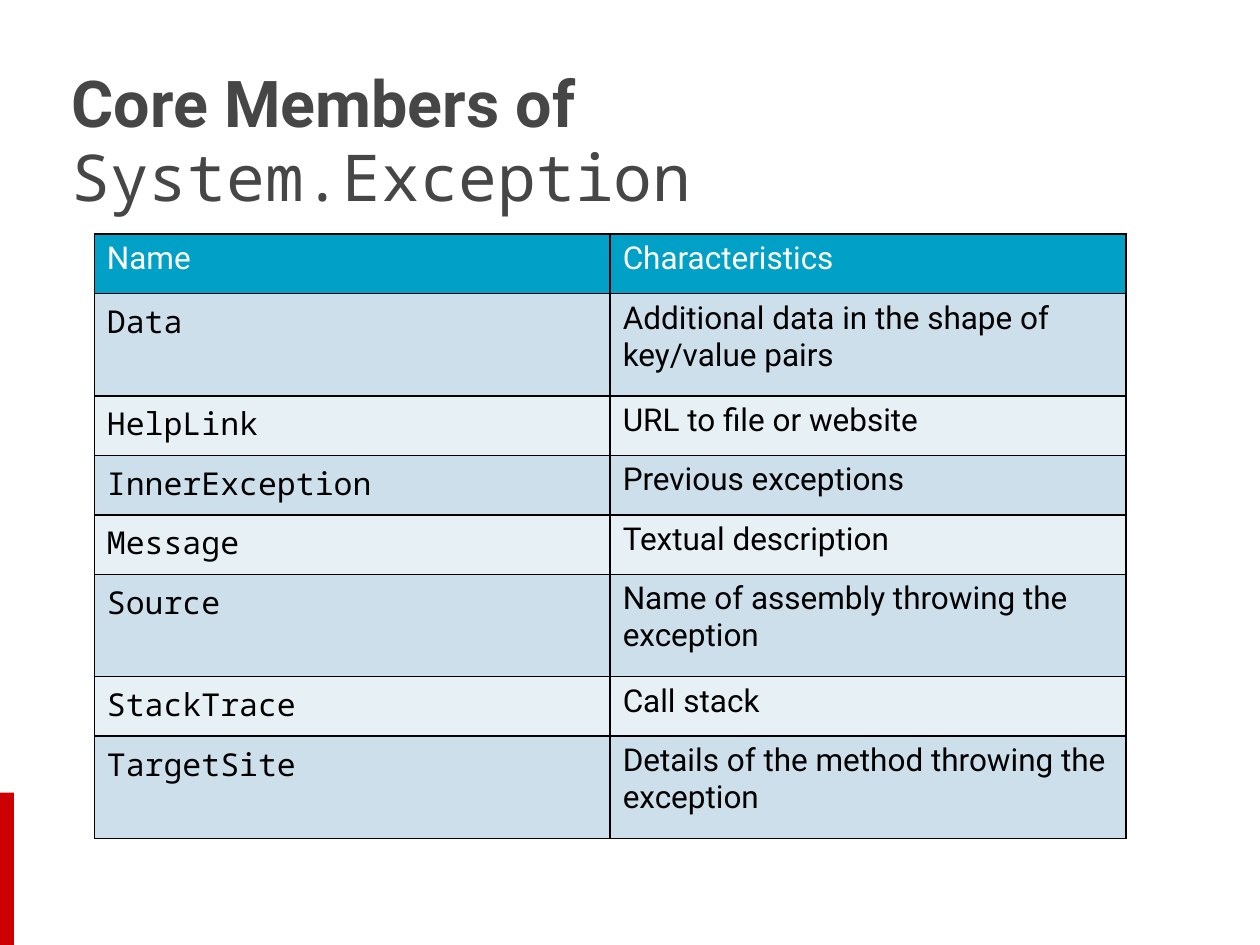
from lxml.etree import SubElement
from pptx import Presentation
from pptx.dml.color import RGBColor
from pptx.enum.shapes import MSO_SHAPE
from pptx.enum.text import MSO_ANCHOR
from pptx.oxml.ns import qn
from pptx.util import Cm, Pt

RED = RGBColor(0xCC, 0x00, 0x00)
GRAY = RGBColor(0x46, 0x46, 0x46)
WHITE = RGBColor(0xFF, 0xFF, 0xFF)
BLACK = RGBColor(0x00, 0x00, 0x00)
HEADER_BLUE = RGBColor(0x01, 0xA0, 0xC7)
BAND_DARK = RGBColor(0xCC, 0xDF, 0xEB)
BAND_LIGHT = RGBColor(0xE7, 0xF0, 0xF5)

HEADER = ("Name", "Characteristics")
MEMBERS = [
    ("Data", "Additional data in the shape of key/value pairs"),
    ("HelpLink", "URL to file or website"),
    ("InnerException", "Previous exceptions"),
    ("Message", "Textual description"),
    ("Source", "Name of assembly throwing the exception"),
    ("StackTrace", "Call stack"),
    ("TargetSite", "Details of the method throwing the exception"),
]


class SlideBuilder:
    text_font = "Roboto"
    code_font = "Noto Sans Mono"
    title_size = Pt(36.9)
    table_size = Pt(18)
    column_width = Cm(10.4)
    one_line_height = Cm(1.2)
    two_line_height = Cm(2.06)
    one_line_limit = 30

    def __init__(self, slide):
        self.slide = slide

    def format_run(self, run, font_name, size, color, bold=False):
        run.font.name = font_name
        run.font.size = size
        run.font.color.rgb = color
        run.font.bold = bold

    def add_accent_bar(self, left, top, width, height):
        shape = self.slide.shapes.add_shape(MSO_SHAPE.RECTANGLE, left, top, width, height)
        shape.shadow.inherit = False
        shape.fill.solid()
        shape.fill.fore_color.rgb = RED
        shape.line.fill.background()

    def add_title(self, heading, code, left, top, width, height):
        """Add a bold heading with a line of code below it."""
        text_frame = self.slide.shapes.add_textbox(left, top, width, height).text_frame
        text_frame.word_wrap = True
        text_frame.vertical_anchor = MSO_ANCHOR.MIDDLE
        text_frame.margin_top = Cm(0.4)
        paragraph = text_frame.paragraphs[0]
        paragraph.text = f"{heading}\v{code}"
        paragraph.line_spacing = 0.95
        heading_run, code_run = paragraph.runs
        self.format_run(heading_run, self.text_font, self.title_size, GRAY, bold=True)
        self.format_run(code_run, self.code_font, self.title_size, GRAY)

    def add_member_table(self, header, members, left, top):
        rows = [header, *members]
        heights = [
            self.two_line_height if len(description) > self.one_line_limit else self.one_line_height
            for _, description in rows
        ]
        table = self.slide.shapes.add_table(
            len(rows), len(header), left, top, self.column_width * len(header), sum(heights)
        ).table
        for column in table.columns:
            column.width = self.column_width
        for row_index, (row, height) in enumerate(zip(rows, heights)):
            table.rows[row_index].height = height
            is_header = row_index == 0
            band = BAND_DARK if row_index % 2 else BAND_LIGHT
            for column_index, text in enumerate(row):
                is_code = column_index == 0 and not is_header
                self.fill_cell(
                    table.cell(row_index, column_index),
                    text,
                    self.code_font if is_code else self.text_font,
                    WHITE if is_header else BLACK,
                    HEADER_BLUE if is_header else band,
                )

    def fill_cell(self, cell, text, font_name, color, background):
        cell.text_frame.text = text
        self.format_run(cell.text_frame.paragraphs[0].runs[0], font_name, self.table_size, color)
        self.add_borders(cell)
        cell.fill.solid()
        cell.fill.fore_color.rgb = background

    def add_borders(self, cell):
        properties = cell._tc.get_or_add_tcPr()
        for side in ("a:lnL", "a:lnR", "a:lnT", "a:lnB"):
            line = SubElement(properties, qn(side), w=str(Pt(1)))
            fill = SubElement(line, qn("a:solidFill"))
            SubElement(fill, qn("a:srgbClr"), val=str(BLACK))


def main():
    presentation = Presentation()
    presentation.slide_width = Cm(25.4)
    presentation.slide_height = Cm(19.05)
    builder = SlideBuilder(presentation.slides.add_slide(presentation.slide_layouts[6]))
    builder.add_accent_bar(Cm(0), Cm(15.98), Cm(0.28), Cm(3.07))
    builder.add_title(
        "Core Members of ", "System.Exception", Cm(1.19), Cm(0.76), Cm(22.94), Cm(3.94)
    )
    builder.add_member_table(HEADER, MEMBERS, Cm(1.9), Cm(4.72))
    presentation.save("out.pptx")


if __name__ == "__main__":
    main()
